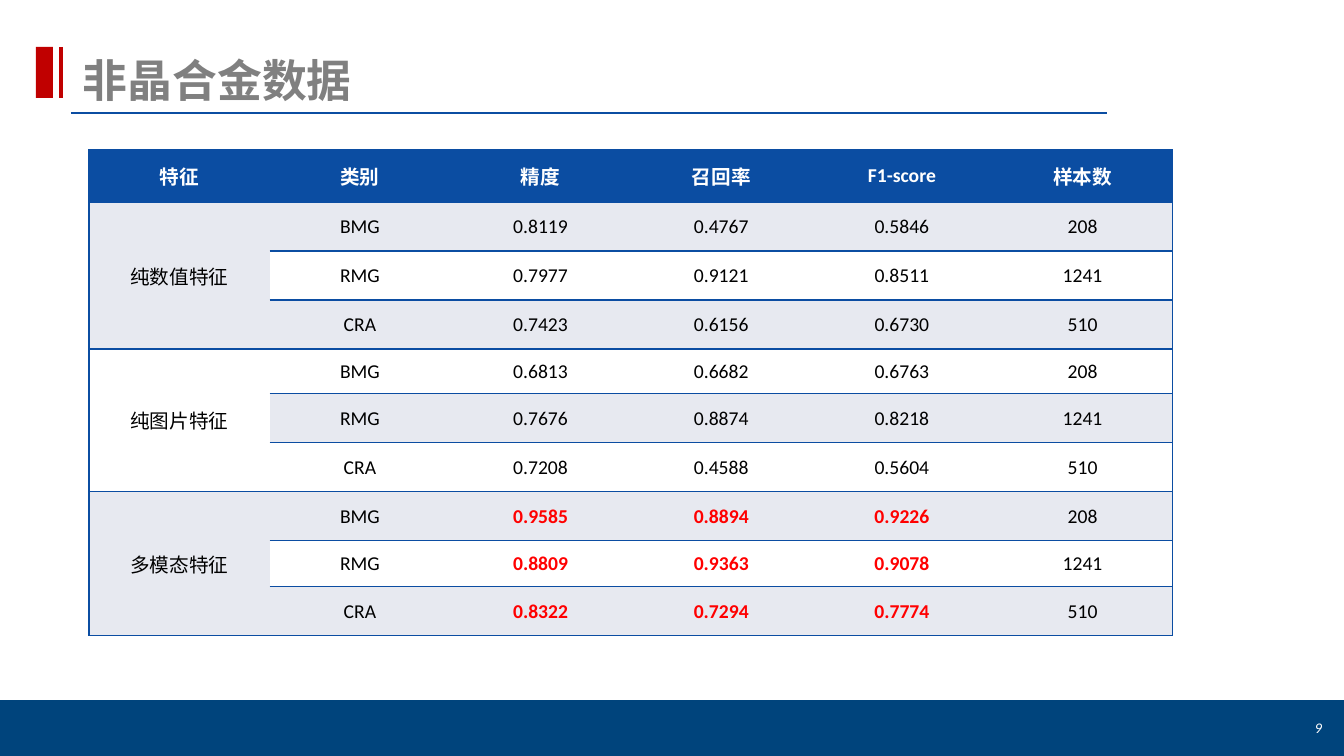
from dataclasses import dataclass

from lxml import etree
from pptx import Presentation, util as u
from pptx.dml.color import RGBColor
from pptx.enum import shapes, text
from pptx.oxml.ns import qn

W, H = 1344, 756
SCALE = 12192000 / W


@dataclass(frozen=True)
class Theme:
    font: str = "Calibri"
    blue: str = "0B4DA2"
    footer: str = "00447C"
    red: str = "C00000"
    best: str = "FF0000"
    grey: str = "808080"
    band: str = "E7E9F0"
    white: str = "FFFFFF"
    black: str = "000000"
    title_size: float = 32
    table_size: float = 14
    number_size: float = 10.5


T = Theme()
HEADER = ["特征", "类别", "精度", "召回率", "F1-score", "样本数"]
CLASSES = [("BMG", "208"), ("RMG", "1241"), ("CRA", "510")]
SCORES = {
    "纯数值特征": ["0.8119 0.4767 0.5846", "0.7977 0.9121 0.8511", "0.7423 0.6156 0.6730"],
    "纯图片特征": ["0.6813 0.6682 0.6763", "0.7676 0.8874 0.8218", "0.7208 0.4588 0.5604"],
    "多模态特征": ["0.9585 0.8894 0.9226", "0.8809 0.9363 0.9078", "0.8322 0.7294 0.7774"],
}
BEST = "多模态特征"
ROW_HEIGHTS = [52, 49, 49, 49, 45, 49, 49, 49, 46, 49]


def px(n):
    return u.Emu(round(n * SCALE))


def rgb(color):
    return RGBColor.from_string(color)


def set_all(obj, values):
    for name, value in values.items():
        setattr(obj, name, value)


def write(tf, words, size, color, align="LEFT", spacing=None, **font):
    p = tf.paragraphs[0]
    p.alignment = getattr(text.PP_ALIGN, align)
    p.line_spacing = spacing
    r = p.add_run()
    r.text = words
    set_all(r.font, {"name": T.font, "size": u.Pt(size), **font})
    r.font.color.rgb = rgb(color)


def add_text(s, box, anchor, *args, **kwargs):
    tf = s.shapes.add_textbox(*map(px, box)).text_frame
    set_all(tf, {"word_wrap": True, "vertical_anchor": anchor})
    write(tf, *args, **kwargs)


def add_block(s, box, color):
    sp = s.shapes.add_shape(shapes.MSO_SHAPE.RECTANGLE, *map(px, box))
    sp.shadow.inherit = False
    sp.fill.solid()
    sp.fill.fore_color.rgb = rgb(color)
    sp.line.fill.background()


def add_rule(s, ends, color, width):
    ln = s.shapes.add_connector(shapes.MSO_CONNECTOR.STRAIGHT, *map(px, ends))
    ln.line.color.rgb = rgb(color)
    ln.line.width = u.Pt(width)
    etree.SubElement(ln._element.spPr, qn("a:effectLst"))


def set_borders(cell, sides):
    """Draw the named sides (of L, R, T, B) in blue and clear the others."""
    tcPr = cell._tc.get_or_add_tcPr()
    for side in "LRTB":
        ln = etree.SubElement(tcPr, qn(f"a:ln{side}"), w=str(u.Pt(1)))
        if side in sides:
            fill = etree.SubElement(ln, qn("a:solidFill"))
            etree.SubElement(fill, qn("a:srgbClr"), val=T.blue)
        else:
            etree.SubElement(ln, qn("a:noFill"))


def style_cell(cell, sides, fill):
    set_borders(cell, sides)
    cell.fill.solid()
    cell.fill.fore_color.rgb = rgb(fill)
    set_all(cell, {"vertical_anchor": text.MSO_ANCHOR.MIDDLE,
                   "margin_left": px(7), "margin_right": px(7),
                   "margin_top": 0, "margin_bottom": 0})


def cell_sides(row, col, last_col):
    """Rules run between rows, except inside the merged first column."""
    if col:
        return "TBR" if col == last_col else "TB"
    if row == 0 or row % 3 == 1:
        return "LTB"
    return "LB" if row % 3 == 0 else "L"


def score_rows():
    rows = [HEADER]
    for feature, lines in SCORES.items():
        for (name, count), line in zip(CLASSES, lines):
            rows.append([feature, name, *line.split(), count])
    return rows


def score_table(s, x, y, w):
    rows, n = score_rows(), len(HEADER)
    frame = s.shapes.add_table(len(rows), n, px(x), px(y), px(w), px(sum(ROW_HEIGHTS)))
    tbl = frame.table
    set_all(tbl, {"first_row": False, "horz_banding": False})
    for col in tbl.columns:
        col.width = px(w / n)
    for row, height in zip(tbl.rows, ROW_HEIGHTS):
        row.height = px(height)
    for top in range(1, len(rows), len(CLASSES)):
        tbl.cell(top, 0).merge(tbl.cell(top + len(CLASSES) - 1, 0))
    for i, values in enumerate(rows):
        for j, value in enumerate(values):
            cell = tbl.cell(i, j)
            fill = T.blue if i == 0 else T.band if i % 2 else T.white
            style_cell(cell, cell_sides(i, j, n - 1), fill)
            if cell.is_spanned:
                continue
            best = values[0] == BEST and 2 <= j <= 4
            color = T.white if i == 0 else T.best if best else T.black
            write(cell.text_frame, value, T.table_size, color, "CENTER", bold=i == 0 or best)


def heading(s, x, y, words):
    add_block(s, (x, y, 17, 51), T.red)
    add_rule(s, (x + 25, y, x + 25, y + 51), T.red, 3)
    add_rule(s, (x + 35, y + 66, x + 1071, y + 66), T.blue, 1.5)
    add_text(s, (x + 37, y - 22, 1034, 87), text.MSO_ANCHOR.BOTTOM, words,
             T.title_size, T.grey, spacing=0.85, bold=True)


def footer(s, y, number):
    add_block(s, (0, y, W, H - y), T.footer)
    add_text(s, (W - 156, y + 8, 144, 40), text.MSO_ANCHOR.MIDDLE, number,
             T.number_size, T.white, "RIGHT", italic=True)


def main():
    prs = Presentation()
    set_all(prs, {"slide_width": px(W), "slide_height": px(H)})
    s = prs.slides.add_slide(prs.slide_layouts[6])
    footer(s, 700, "9")
    heading(s, 36, 47, "非晶合金数据")
    score_table(s, 89, 150, 1084)
    prs.save("out.pptx")


if __name__ == "__main__":
    main()
